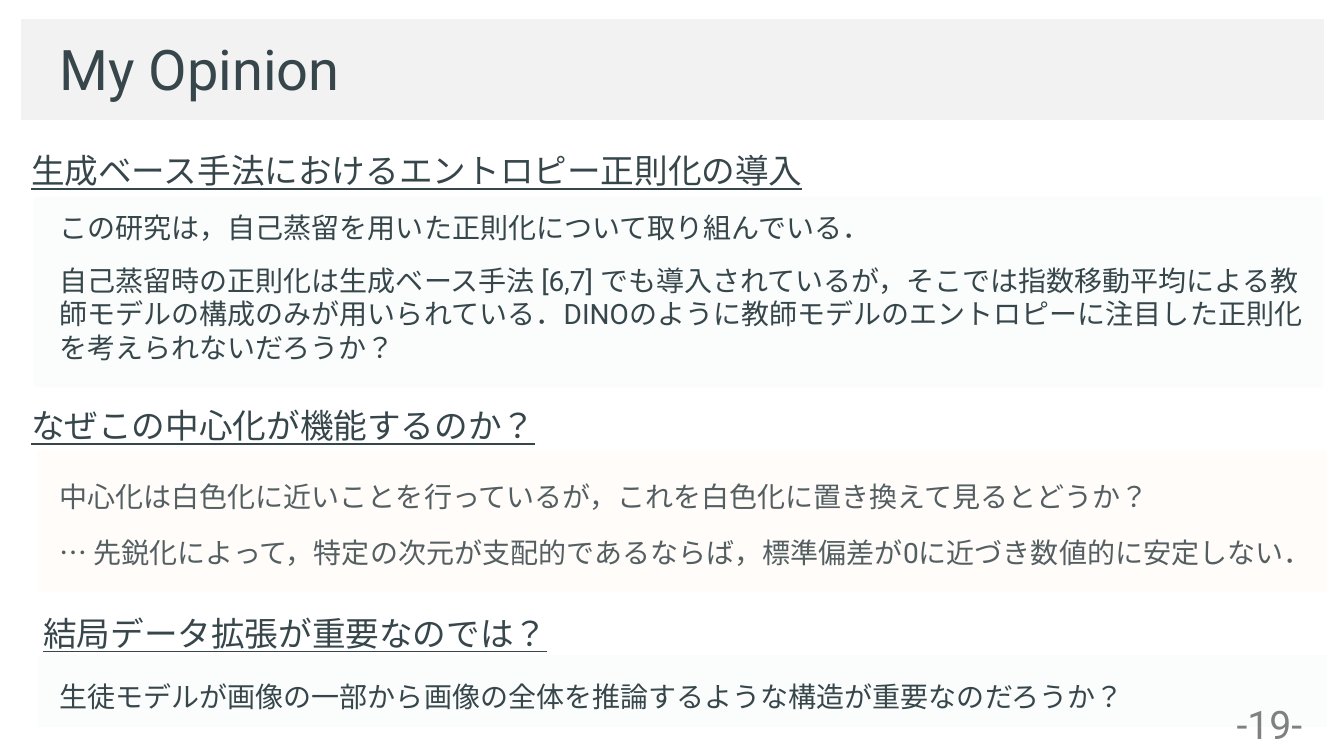
from dataclasses import dataclass

from lxml.etree import SubElement
from pptx import Presentation
from pptx.dml.color import RGBColor
from pptx.enum.lang import MSO_LANGUAGE_ID as Language
from pptx.enum.shapes import MSO_SHAPE as ShapeKind
from pptx.enum.text import MSO_ANCHOR as Anchor, MSO_AUTO_SIZE as AutoSize, PP_ALIGN as Align
from pptx.oxml.ns import qn
from pptx.shapes.autoshape import Shape
from pptx.slide import Slide
from pptx.util import Inches, Pt

SLIDE_WIDTH = Inches(13.33)
SLIDE_HEIGHT = Inches(7.5)


@dataclass(frozen=True)
class Theme:
    font: str = "Roboto"
    ink: str = "37464B"
    muted: str = "808080"
    band: str = "F2F2F2"
    green: str = "E3F2ED"
    peach: str = "FFEEE4"
    blue: str = "E6EEF0"
    panel_opacity: int = 15
    title_size: int = 40
    page_size: int = 28
    heading_size: int = 24
    body_size: int = 20


@dataclass(frozen=True)
class Area:
    """Left, top, width and height in percent of the slide."""

    left: float
    top: float
    width: float
    height: float

    def place(self, shape: Shape) -> None:
        shape.left = round(SLIDE_WIDTH * self.left / 100)
        shape.top = round(SLIDE_HEIGHT * self.top / 100)
        shape.width = round(SLIDE_WIDTH * self.width / 100)
        shape.height = round(SLIDE_HEIGHT * self.height / 100)


@dataclass(frozen=True)
class Note:
    top: float
    text: str
    height: float = 5.87


@dataclass(frozen=True)
class Section:
    heading: str
    heading_left: float
    heading_top: float
    panel: Area
    color: str
    notes: tuple[Note, ...]
    panel_in_front: bool = False


THEME = Theme()
TEXT_LEFT = 3.68
TITLE_AREA = Area(TEXT_LEFT, 3.87, 58.51, 10.27)
BAND_AREA = Area(1.58, 2.53, 96.92, 13.33)
PAGE_AREA = Area(90.17, 92, 8.55, 5.87)
HEADING_WIDTH, HEADING_HEIGHT = 60.62, 6.67
NOTE_WIDTH = 95.05

SECTIONS = (
    Section(
        "生成ベース手法におけるエントロピー正則化の導入", 1.58, 19.2,
        Area(2.48, 26, 95.95, 25.2), THEME.green,
        (
            Note(27.2, "この研究は，自己蒸留を用いた正則化について取り組んでいる．"),
            Note(
                34.13,
                "自己蒸留時の正則化は生成ベース手法 [6,7] でも導入されているが，"
                "そこでは指数移動平均による教師モデルの構成のみが用いられている．"
                "DINOのように教師モデルのエントロピーに注目した正則化を考えられないだろうか？",
                14.8,
            ),
        ),
    ),
    Section(
        "なぜこの中心化が機能するのか？", 1.58, 52.93,
        Area(2.78, 59.6, 95.95, 18.67), THEME.peach,
        (
            Note(62.8, "中心化は白色化に近いことを行っているが，これを白色化に置き換えて見るとどうか？"),
            Note(70.13, "… 先鋭化によって，特定の次元が支配的であるならば，標準偏差が0に近づき数値的に安定しない．"),
        ),
        panel_in_front=True,
    ),
    Section(
        "結局データ拡張が重要なのでは？", 2.48, 80.4,
        Area(2.78, 86.67, 95.95, 9.47), THEME.blue,
        (Note(89.2, "生徒モデルが画像の一部から画像の全体を推論するような構造が重要なのだろうか？"),),
    ),
)


def write_text(shape: Shape, text: str, *, size: int, color: str = THEME.ink,
               align: Align = Align.LEFT, underline: bool = False) -> None:
    frame = shape.text_frame
    frame.word_wrap = True
    frame.auto_size = AutoSize.NONE
    frame.vertical_anchor = Anchor.TOP
    paragraph = frame.paragraphs[0]
    paragraph.alignment = align
    paragraph.line_spacing = 1.0
    paragraph.space_before = Pt(0)
    run = paragraph.add_run()
    run.text = text
    run.font.name = THEME.font
    run.font.size = Pt(size)
    run.font.color.rgb = RGBColor.from_string(color)
    run.font.language_id = Language.JAPANESE
    if underline:
        run.font.underline = True


def add_text(slide: Slide, area: Area, text: str, *, size: int, color: str = THEME.ink,
             align: Align = Align.LEFT, underline: bool = False) -> None:
    shape = slide.shapes.add_textbox(0, 0, 0, 0)
    area.place(shape)
    write_text(shape, text, size=size, color=color, align=align, underline=underline)


def add_panel(slide: Slide, area: Area, color: str, opacity: int = 100) -> None:
    shape = slide.shapes.add_shape(ShapeKind.RECTANGLE, 0, 0, 0, 0)
    area.place(shape)
    shape.shadow.inherit = False
    shape.line.fill.background()
    shape.fill.solid()
    shape.fill.fore_color.rgb = RGBColor.from_string(color)
    if opacity < 100:
        color_element = shape._element.spPr.find(qn("a:solidFill"))[0]
        SubElement(color_element, qn("a:alpha"), val=str(opacity * 1000))


def add_title(slide: Slide, text: str) -> None:
    add_panel(slide, BAND_AREA, THEME.band)
    title = slide.shapes.title
    slide.shapes._spTree.append(title._element)
    TITLE_AREA.place(title)
    write_text(title, text, size=THEME.title_size)


def add_section(slide: Slide, section: Section) -> None:
    if not section.panel_in_front:
        add_panel(slide, section.panel, section.color, THEME.panel_opacity)
    heading_area = Area(section.heading_left, section.heading_top, HEADING_WIDTH, HEADING_HEIGHT)
    add_text(slide, heading_area, section.heading, size=THEME.heading_size, underline=True)
    for note in section.notes:
        note_area = Area(TEXT_LEFT, note.top, NOTE_WIDTH, note.height)
        add_text(slide, note_area, note.text, size=THEME.body_size)
    if section.panel_in_front:
        add_panel(slide, section.panel, section.color, THEME.panel_opacity)


def main() -> None:
    presentation = Presentation()
    presentation.slide_width = SLIDE_WIDTH
    presentation.slide_height = SLIDE_HEIGHT
    slide = presentation.slides.add_slide(presentation.slide_layouts.get_by_name("Title Only"))
    add_title(slide, "My Opinion")
    for section in SECTIONS:
        add_section(slide, section)
    add_text(slide, PAGE_AREA, "-19-", size=THEME.page_size, color=THEME.muted, align=Align.CENTER)
    presentation.save("out.pptx")


if __name__ == "__main__":
    main()
